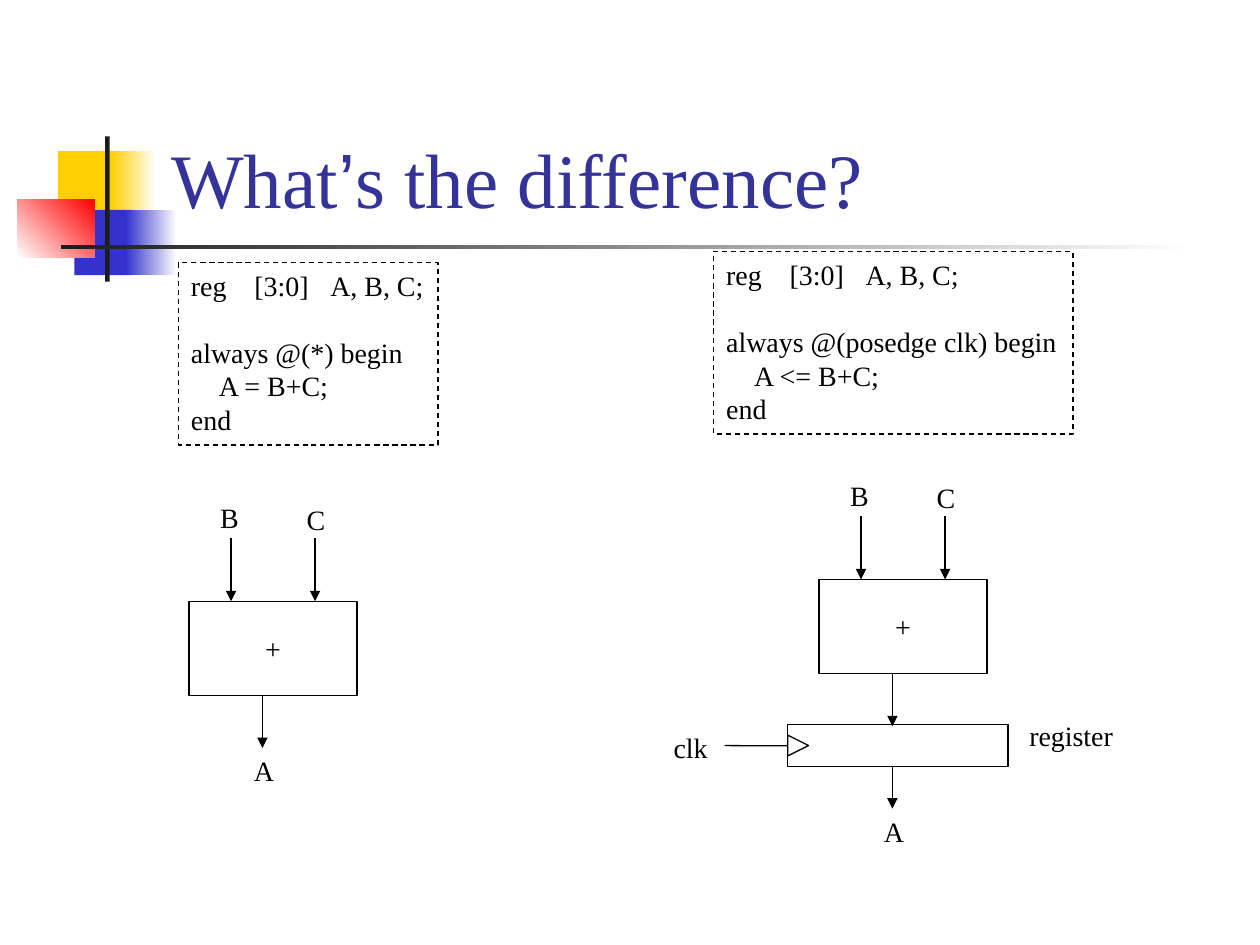
from dataclasses import dataclass

from pptx import Presentation
from pptx.dml.color import RGBColor
from pptx.enum.dml import MSO_LINE as Dash
from pptx.enum.shapes import MSO_CONNECTOR as Conn, MSO_SHAPE as Form
from pptx.enum.text import MSO_ANCHOR as Anchor, MSO_AUTO_SIZE as Fit, PP_ALIGN as Align
from pptx.oxml.ns import qn
from pptx.oxml.xmlchemy import OxmlElement as Node
from pptx.util import Cm, Pt


@dataclass(frozen=True)
class Theme:
    serif: str = "Times New Roman"
    sans: str = "Arial"
    ink: str = "000000"
    title: str = "333399"
    gold: str = "FFCF01"
    blue: str = "3333CC"
    red: str = "FF0000"
    dark: str = "1C1C1C"
    white: str = "FFFFFF"
    head: int = 44
    body: int = 16
    line: float = 0.75


def rgb(code):
    return RGBColor.from_string(code)


class Sketch:
    """Holds the theme and the slide being drawn; lengths are centimetres."""

    def __init__(self, slide, theme):
        self.slide, self.theme = slide, theme
        self.shapes = slide.shapes

    def run(self, para, text, size=None, font=None, color=None):
        run = para.add_run()
        run.text = text
        run.font.size = Pt(size or self.theme.body)
        run.font.name = font or self.theme.serif
        run.font.color.rgb = rgb(color or self.theme.ink)

    def title(self, parts, box):
        title = self.shapes.title
        title.left, title.top, title.width, title.height = map(Cm, box)
        frame = title.text_frame
        frame.auto_size = Fit.NONE
        frame.vertical_anchor = Anchor.BOTTOM
        para = frame.paragraphs[0]
        para.alignment = Align.LEFT
        for text, font in parts:
            self.run(para, text, self.theme.head, font, self.theme.title)

    def form(self, box, kind=Form.RECTANGLE):
        shape = self.shapes.add_shape(kind, *map(Cm, box))
        shape.shadow.inherit = False
        return shape

    def patch(self, box, start, end=None, angle=0):
        """Borderless block, fading from start to end if an end is given."""
        shape = self.form(box)
        shape.line.fill.background()
        fill = shape.fill
        if end is None:
            fill.solid()
            fill.fore_color.rgb = rgb(start)
            return
        fill.gradient()
        fill.gradient_angle = angle
        for stop, color in zip(fill.gradient_stops, (start, end)):
            stop.color.rgb = rgb(color)

    def block(self, box, text="", kind=Form.RECTANGLE):
        shape = self.form(box, kind)
        shape.fill.background()
        shape.line.color.rgb = rgb(self.theme.ink)
        shape.line.width = Pt(self.theme.line)
        if text:
            frame = shape.text_frame
            frame.word_wrap = False
            frame.vertical_anchor = Anchor.MIDDLE
            frame.paragraphs[0].alignment = Align.CENTER
            self.run(frame.paragraphs[0], text)
        return shape

    def code(self, box, event, step):
        """Dashed listing: declaration, then an always block."""
        shape = self.block(box)
        shape.line.dash_style = Dash.DASH
        frame = shape.text_frame
        frame.word_wrap = False
        frame.auto_size = Fit.SHAPE_TO_FIT_TEXT
        frame.vertical_anchor = Anchor.TOP
        lines = ["reg\t[3:0]\tA, B, C;", f"always @({event}) begin", step, "end"]
        paras = [frame.paragraphs[0]] + [frame.add_paragraph() for _ in lines[1:]]
        for para, text in zip(paras, lines):
            para.alignment = Align.LEFT
            self.run(para, text)
        decl, start, inner, _ = paras
        tabs = Node("a:tabLst")
        for pos in (1.28, 2.81):
            tab = Node("a:tab")
            tab.set("pos", str(Cm(pos)))
            tab.set("algn", "l")
            tabs.append(tab)
        decl._p.get_or_add_pPr().append(tabs)
        start.space_before = Pt(19)
        inner._p.get_or_add_pPr().set("marL", str(Pt(self.theme.body)))

    def label(self, x, y, text, wide=0.9):
        box = self.shapes.add_textbox(*map(Cm, (x, y, wide, 0.94)))
        frame = box.text_frame
        frame.word_wrap = False
        frame.auto_size = Fit.SHAPE_TO_FIT_TEXT
        self.run(frame.paragraphs[0], text)

    def wire(self, x1, y1, x2, y2, arrow=True):
        wire = self.shapes.add_connector(Conn.STRAIGHT, *map(Cm, (x1, y1, x2, y2)))
        wire.line.color.rgb = rgb(self.theme.ink)
        wire.line.width = Pt(self.theme.line)
        props = wire._element.spPr
        if arrow:
            tip = Node("a:tailEnd")
            tip.set("type", "triangle")
            props.find(qn("a:ln")).append(tip)
        props.append(Node("a:effectLst"))
        return wire

    def adder(self, x, y):
        """Adder with inputs B and C and one output arrow."""
        wide, high = 3.39, 1.9
        self.block((x, y, wide, high), "+")
        for dx in (wide / 4, wide * 3 / 4):
            self.wire(x + dx, y - 1.27, x + dx, y)
        self.wire(x + 1.48, y + high, x + 1.48, y + high + 1.06)
        self.label(x + 0.38, y - 2.16, "B")
        self.label(x + 2.12, y - 2.12, "C")

    def decor(self):
        t = self.theme
        self.patch((1.17, 3.05, 1.22, 1.32), t.gold)
        self.patch((2.24, 3.05, 0.91, 1.32), t.gold, t.white)
        self.patch((1.5, 4.23, 1.17, 1.32), t.blue)
        self.patch((2.54, 4.23, 1.02, 1.32), t.blue, t.white)
        self.patch((0.35, 4.02, 1.56, 1.18), t.white, t.red, 45)
        self.patch((2.12, 2.75, 0.09, 2.93), t.dark)
        self.patch((1.23, 4.94, 22.86, 0.09), t.dark, t.white)


def main():
    deck = Presentation()
    deck.slide_width, deck.slide_height = Cm(25.4), Cm(19.05)
    theme = Theme()
    art = Sketch(deck.slides.add_slide(deck.slide_layouts[5]), theme)

    art.decor()
    art.title(
        [("What", theme.serif), ("’", theme.sans), ("s the difference?", theme.serif)],
        (3.2, 0.58, 21.64, 4.06),
    )
    art.code((3.6, 5.29, 5.23, 3.68), "*", "A = B+C;")
    art.code((14.39, 5.07, 7.24, 3.68), "posedge clk", "A <= B+C;")

    art.adder(3.81, 12.12)
    art.label(4.87, 15.06, "A")

    art.adder(16.51, 11.68)
    store = art.block((15.88, 14.61, 4.44, 0.85))
    art.block((15.88, 14.82, 0.42, 0.42), kind=Form.ISOSCELES_TRIANGLE).rotation = 90
    art.wire(17.99, 15.46, 17.99, 16.3)
    art.wire(14.61, 15.03, 15.88, 15.03, arrow=False).end_connect(store, 1)
    art.label(13.33, 14.61, "clk", 1.19)
    art.label(20.5, 14.36, "register", 2.21)
    art.label(17.57, 16.3, "A")

    deck.save("out.pptx")


if __name__ == "__main__":
    main()
